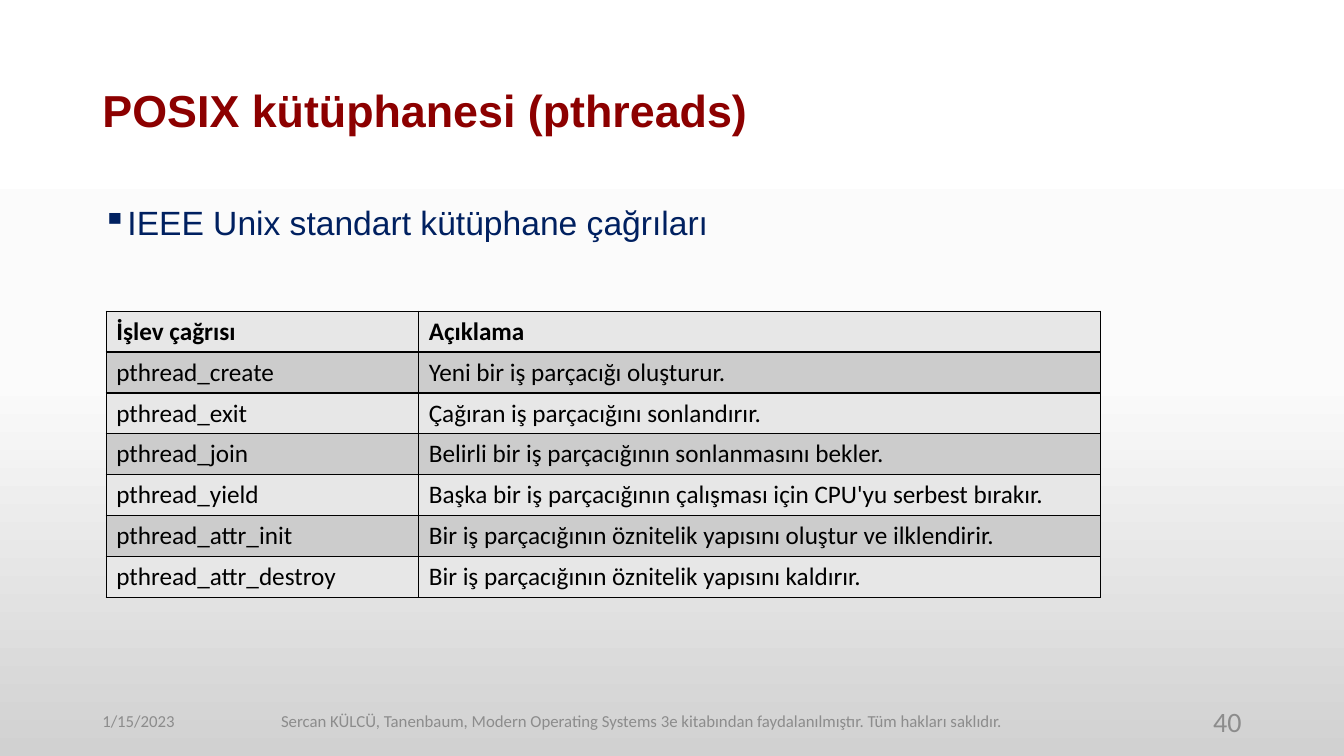
from copy import deepcopy

from pptx import Presentation
from pptx.dml.color import RGBColor as Rgb
from pptx.enum.text import MSO_ANCHOR as Anchor, PP_ALIGN as Align
from pptx.oxml.ns import qn
from pptx.oxml.xmlchemy import OxmlElement as Element
from pptx.util import Pt

COLORS = {
    "title": "8C0000",
    "body": "002060",
    "footer": "8C8C8C",
    "ink": "000000",
    "light_row": "E7E7E7",
    "dark_row": "CCCCCC",
}
BACKDROP = [(0, "FFFFFF"), (0.5, "FBFBFB"), (1, "D1D1D1")]
TITLE_FONT = {"name": "Arial", "size": Pt(32), "bold": True}
BODY_FONT = {"name": "Arial", "size": Pt(24)}
FOOTER_FONT = {"name": "Calibri", "size": Pt(12)}
PAGE_FONT = {"name": "Calibri", "size": Pt(20)}
CELL_FONT = {"name": "Calibri", "size": Pt(18)}
CREDIT = ("Sercan KÜLCÜ, Tanenbaum, Modern Operating Systems 3e kitabından "
          "faydalanılmıştır. Tüm hakları saklıdır.")
CALLS = [
    ("İşlev çağrısı", "Açıklama"),
    ("pthread_create", "Yeni bir iş parçacığı oluşturur."),
    ("pthread_exit", "Çağıran iş parçacığını sonlandırır."),
    ("pthread_join", "Belirli bir iş parçacığının sonlanmasını bekler."),
    ("pthread_yield", "Başka bir iş parçacığının çalışması için CPU'yu serbest bırakır."),
    ("pthread_attr_init", "Bir iş parçacığının öznitelik yapısını oluştur ve ilklendirir."),
    ("pthread_attr_destroy", "Bir iş parçacığının öznitelik yapısını kaldırır."),
]
COLUMN_WIDTHS = (223.2, 486.7)
ROW_HEIGHT = 29.2


def color(name):
    return Rgb.from_string(COLORS[name])


def apply(target, formats):
    for attribute, value in formats.items():
        setattr(target, attribute, value)


def write(frame, text, font, ink, align=Align.LEFT):
    line = frame.paragraphs[0]
    line.text = text
    line.alignment = align
    apply(line.runs[0].font, font)
    line.runs[0].font.color.rgb = color(ink)
    return line


def paint_background(slide):
    fill = slide.background.fill
    fill.gradient()
    fill.gradient_angle = 270
    stops = next(slide.element.iter(qn("a:gsLst")))
    stops.append(deepcopy(stops[-1]))
    for stop, (position, shade) in zip(fill.gradient_stops, BACKDROP):
        stop.position = position
        stop.color.rgb = Rgb.from_string(shade)


def add_title(slide, text):
    title = slide.shapes.title
    apply(title, {"left": Pt(66), "top": Pt(28.75), "width": Pt(828), "height": Pt(104.4)})
    title.text_frame.vertical_anchor = Anchor.MIDDLE
    write(title.text_frame, text, TITLE_FONT, "title").line_spacing = 0.9


def add_text(slide, place, text, font, ink, align, anchor):
    frame = slide.shapes.add_textbox(*map(Pt, place)).text_frame
    apply(frame, {"word_wrap": True, "vertical_anchor": anchor})
    return write(frame, text, font, ink, align)


def add_bullet_text(slide, place, text):
    line = add_text(slide, place, text, BODY_FONT, "body", Align.JUSTIFY, Anchor.TOP)
    line.line_spacing = 0.9
    properties = line._p.get_or_add_pPr()
    properties.set("marL", str(Pt(18)))
    properties.set("indent", str(-Pt(18)))
    bullet = Element("a:buChar")
    bullet.set("char", "▪")
    properties.append(bullet)


def add_footer(slide, left, width, text, font, align):
    add_text(slide, (left, 500.5, width, 28.75), text, font, "footer", align, Anchor.MIDDLE)


def outline(cell):
    properties = cell._tc.get_or_add_tcPr()
    for side in ("L", "R", "T", "B"):
        border = Element(f"a:ln{side}")
        border.set("w", str(Pt(1)))
        solid = Element("a:solidFill")
        ink = Element("a:srgbClr")
        ink.set("val", COLORS["ink"])
        solid.append(ink)
        border.append(solid)
        properties.append(border)


def add_call_table(slide, left, top):
    size = (sum(COLUMN_WIDTHS), ROW_HEIGHT * len(CALLS))
    table = slide.shapes.add_table(
        len(CALLS), len(COLUMN_WIDTHS), *map(Pt, (left, top, *size))).table
    for column, width in zip(table.columns, COLUMN_WIDTHS):
        column.width = Pt(width)
    for r, texts in enumerate(CALLS):
        table.rows[r].height = Pt(ROW_HEIGHT)
        for c, text in enumerate(texts):
            cell = table.cell(r, c)
            outline(cell)
            cell.fill.solid()
            cell.fill.fore_color.rgb = color("dark_row" if r % 2 else "light_row")
            write(cell.text_frame, text, {**CELL_FONT, "bold": r == 0}, "ink")


def main():
    deck = Presentation()
    apply(deck, {"slide_width": Pt(960), "slide_height": Pt(540)})
    slide = deck.slides.add_slide(deck.slide_layouts.get_by_name("Title Only"))
    paint_background(slide)
    add_title(slide, "POSIX kütüphanesi (pthreads)")
    add_bullet_text(slide, (66, 143.75, 828, 368.6), "IEEE Unix standart kütüphane çağrıları")
    add_footer(slide, 66, 216, "1/15/2023", FOOTER_FONT, Align.LEFT)
    add_footer(slide, 185.5, 546, CREDIT, FOOTER_FONT, Align.CENTER)
    add_footer(slide, 678, 216, "40", PAGE_FONT, Align.RIGHT)
    add_call_table(slide, 75.9, 222.3)
    deck.save("out.pptx")


if __name__ == "__main__":
    main()
